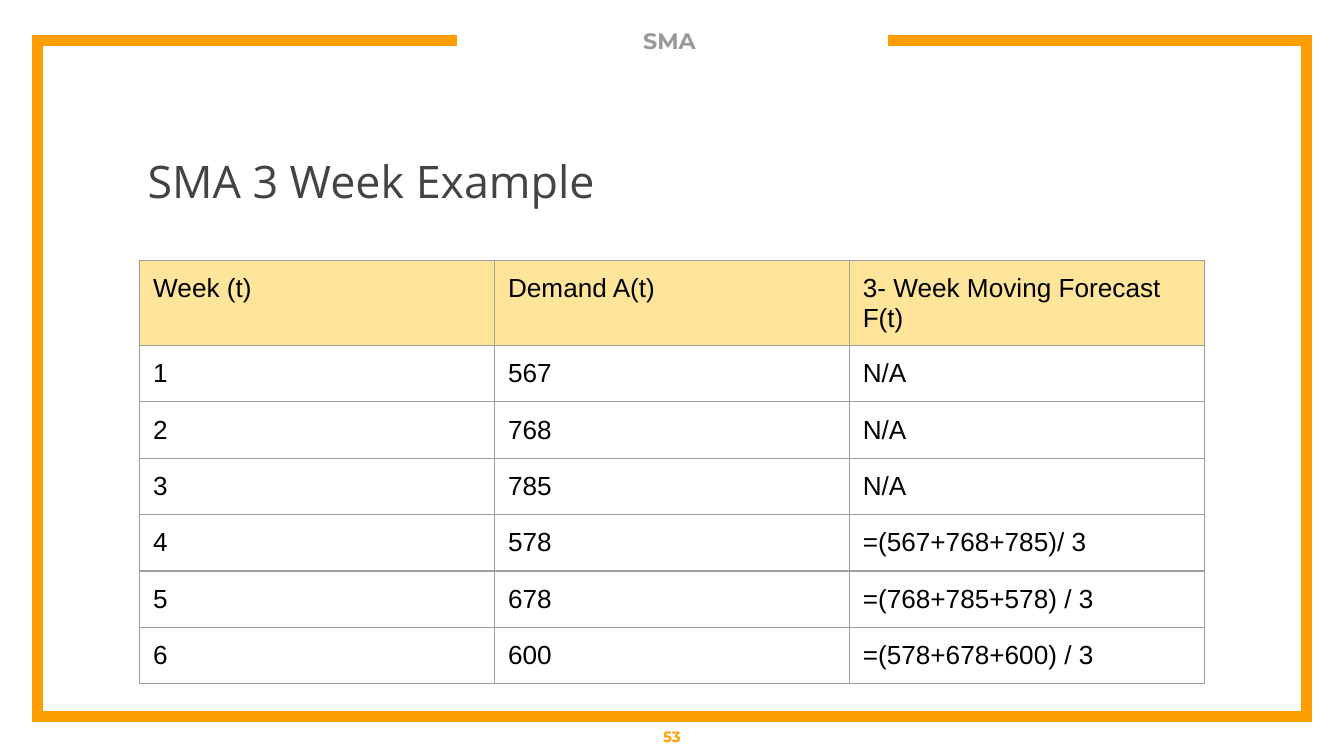
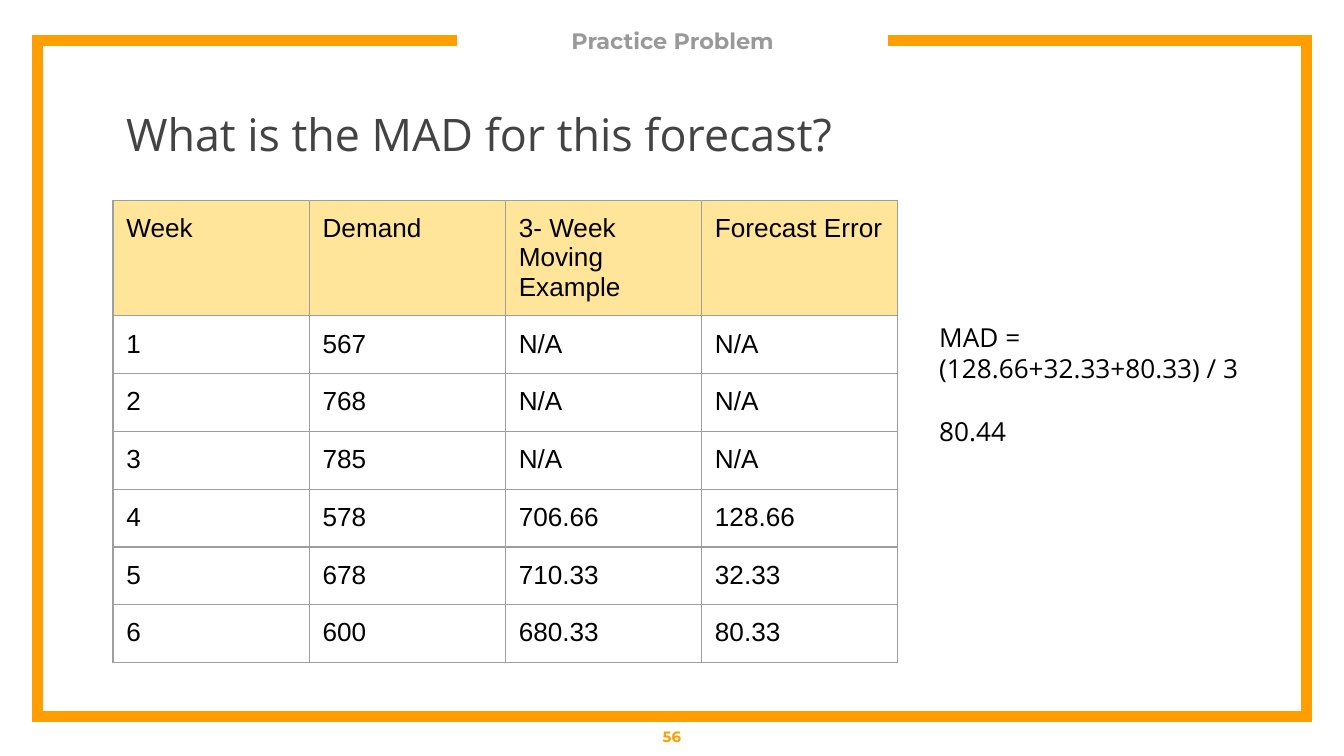
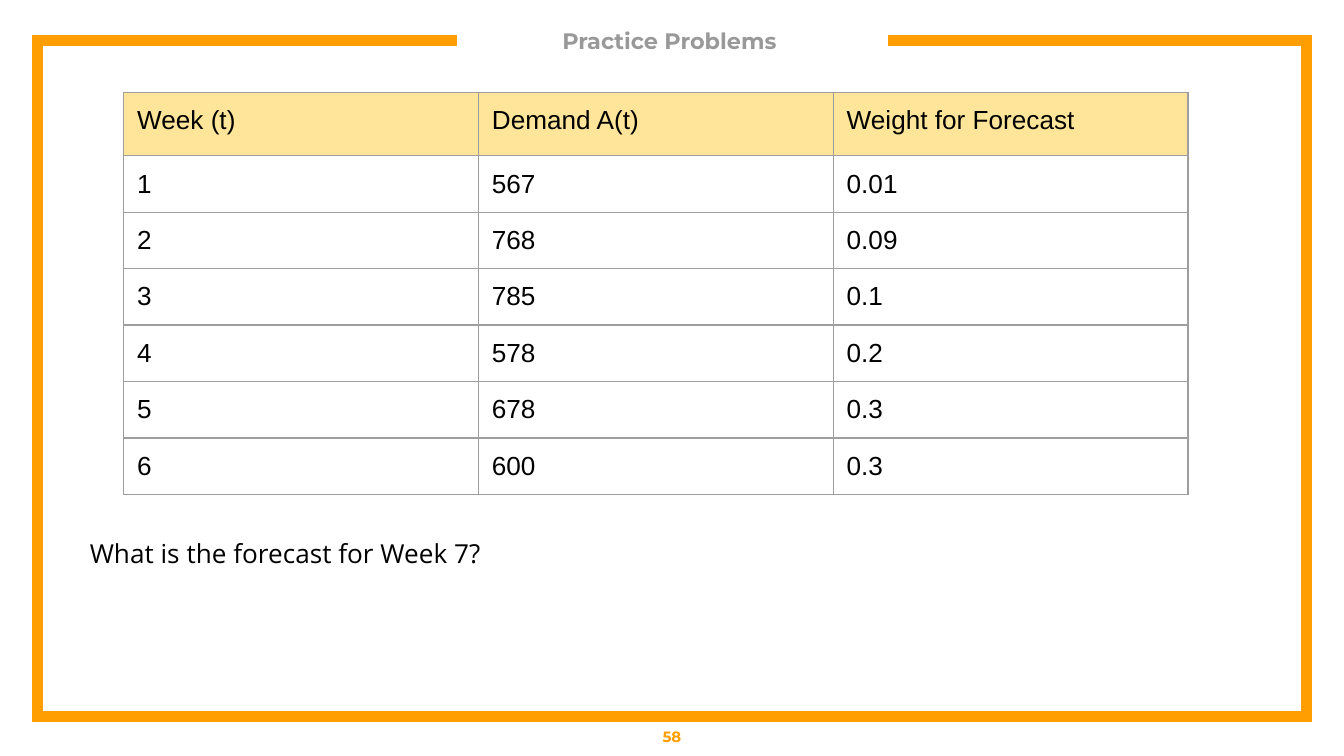
from lxml.etree import SubElement
from pptx import Presentation
from pptx.dml.color import RGBColor
from pptx.enum.text import MSO_ANCHOR, PP_ALIGN
from pptx.oxml.ns import qn
from pptx.util import Inches, Pt

ORANGE = RGBColor(0xFF, 0x9E, 0x00)
CREAM = RGBColor(0xFF, 0xE5, 0x99)
GRAY = RGBColor(0x99, 0x99, 0x99)
BORDER_GRAY = RGBColor(0x9E, 0x9E, 0x9E)
CHARCOAL = RGBColor(0x43, 0x43, 0x43)
BLACK = RGBColor(0, 0, 0)

SLIDE_WIDTH = 10
SLIDE_HEIGHT = SLIDE_WIDTH * 9 / 16
FRAME_POINTS = [(3.4, 0.3), (0.28, 0.3), (0.28, 5.33), (9.72, 5.33), (9.72, 0.3), (6.61, 0.3)]
PADDING = 0.1
CELL_BOTTOM_PADDING = 0.05  # lets the rows keep their set heights

# Text styles: font, size, colour, bold
HEADER_STYLE = ("Montserrat", 12, GRAY, True)
NUMBER_STYLE = ("Montserrat", 8, ORANGE, True)
HEADING_STYLE = ("Open Sans", 24, CHARCOAL, False)
NOTE_STYLE = ("Open Sans", 14, BLACK, False)
CELL_STYLE = ("Arial", 14, BLACK, False)

WEEKS = ["1", "2", "3", "4", "5", "6"]
DEMAND = ["567", "768", "785", "578", "678", "600"]
NOT_AVAILABLE = ["N/A"] * 3

SLIDES = [
    {
        "header": "SMA ",
        "number": "53",
        "heading": ("SMA 3 Week Example", (1, 1.04, 8, 3.55)),
        "table": {
            "corner": (1.04, 1.94),
            "column_width": 2.64,
            "row_heights": (0.63, 0.42),
            "columns": {
                "Week (t)": WEEKS,
                "Demand A(t)": DEMAND,
                "3- Week Moving Forecast F(t)": NOT_AVAILABLE
                + ["=(567+768+785)/ 3", "=(768+785+578) / 3", "=(578+678+600) / 3"],
            },
        },
    },
    {
        "header": "Practice Problem",
        "number": "56",
        "heading": ("What is the MAD for this forecast?", (0.84, 0.69, 8, 3.55)),
        "table": {
            "corner": (0.84, 1.49),
            "column_width": 1.46,
            "row_heights": (0.86, 0.43),
            "columns": {
                "Week": WEEKS,
                "Demand": DEMAND,
                "3- Week Moving Example": NOT_AVAILABLE + ["706.66", "710.33", "680.33"],
                "Forecast Error": NOT_AVAILABLE + ["128.66", "32.33", "80.33"],
            },
        },
        "note": (["MAD = (128.66+32.33+80.33) / 3", "80.44"], (6.89, 2.29, 2.5, 1.14)),
    },
    {
        "header": "Practice Problems ",
        "number": "58",
        "table": {
            "corner": (0.92, 0.69),
            "column_width": 2.64,
            "row_heights": (0.47, 0.42),
            "columns": {
                "Week (t)": WEEKS,
                "Demand A(t)": DEMAND,
                "Weight for Forecast": ["0.01", "0.09", "0.1", "0.2", "0.3", "0.3"],
            },
        },
        "note": (["What is the forecast for Week 7?"], (0.57, 3.9, 7.03, 0.44)),
    },
]


def add_run(paragraph, text, style):
    run = paragraph.add_run()
    run.text = text
    run.font.name, size, run.font.color.rgb, run.font.bold = style
    run.font.size = Pt(size)


def set_margins(target, margin, bottom):
    target.margin_left = target.margin_right = target.margin_top = Inches(margin)
    target.margin_bottom = Inches(bottom)


def add_text(slide, lines, box, style, centered=False, padding=PADDING):
    frame = slide.shapes.add_textbox(*map(Inches, box)).text_frame
    frame.word_wrap = True
    set_margins(frame, padding, padding)
    frame.vertical_anchor = MSO_ANCHOR.MIDDLE if centered else MSO_ANCHOR.TOP
    for index, line in enumerate(lines):
        paragraph = frame.add_paragraph() if index else frame.paragraphs[0]
        paragraph.alignment = PP_ALIGN.CENTER if centered else PP_ALIGN.LEFT
        if index:
            paragraph.space_before = Pt(17)
        add_run(paragraph, line, style)


def add_frame(slide):
    start, *corners = [(Inches(x), Inches(y)) for x, y in FRAME_POINTS]
    builder = slide.shapes.build_freeform(*start)
    builder.add_line_segments(corners, close=False)
    shape = builder.convert_to_shape()
    shape.shadow.inherit = False
    shape.fill.background()
    shape.line.color.rgb = ORANGE
    shape.line.width = Pt(6)
    line = shape.element.spPr.find(qn("a:ln"))
    SubElement(line, qn("a:miter"), lim="800000")


def add_borders(cell):
    properties = cell._tc.get_or_add_tcPr()
    for side in ("lnL", "lnR", "lnT", "lnB"):
        line = SubElement(properties, qn(f"a:{side}"), w=str(Pt(0.75)))
        fill = SubElement(line, qn("a:solidFill"))
        SubElement(fill, qn("a:srgbClr"), val=str(BORDER_GRAY))


def add_data_table(slide, corner, column_width, row_heights, columns):
    header_height, body_height = row_heights
    heights = [header_height] + [body_height] * len(WEEKS)
    size = (column_width * len(columns), sum(heights))
    table = slide.shapes.add_table(
        len(heights), len(columns), *map(Inches, corner + size)).table
    table.first_row = table.horz_banding = False
    for row, height in zip(table.rows, heights):
        row.height = Inches(height)
    for column_index, (label, values) in enumerate(columns.items()):
        table.columns[column_index].width = Inches(column_width)
        for row_index, text in enumerate([label] + values):
            cell = table.cell(row_index, column_index)
            set_margins(cell, PADDING, CELL_BOTTOM_PADDING)
            add_borders(cell)
            if row_index == 0:
                cell.fill.solid()
                cell.fill.fore_color.rgb = CREAM
            else:
                cell.fill.background()
            add_run(cell.text_frame.paragraphs[0], text, CELL_STYLE)


def build_slide(presentation, content):
    slide = presentation.slides.add_slide(presentation.slide_layouts[6])
    add_frame(slide)
    add_text(slide, [content["header"]], (3.55, 0.11, 2.91, 0.39), HEADER_STYLE,
             centered=True, padding=0)
    if "heading" in content:
        heading, box = content["heading"]
        add_text(slide, [heading], box, HEADING_STYLE)
    add_text(slide, [content["number"]], (0, 5.33, SLIDE_WIDTH, 0.3), NUMBER_STYLE, centered=True)
    add_data_table(slide, **content["table"])
    if "note" in content:
        lines, box = content["note"]
        add_text(slide, lines, box, NOTE_STYLE)


def main():
    presentation = Presentation()
    presentation.slide_width = Inches(SLIDE_WIDTH)
    presentation.slide_height = Inches(SLIDE_HEIGHT)
    for content in SLIDES:
        build_slide(presentation, content)
    presentation.save("out.pptx")


if __name__ == "__main__":
    main()
